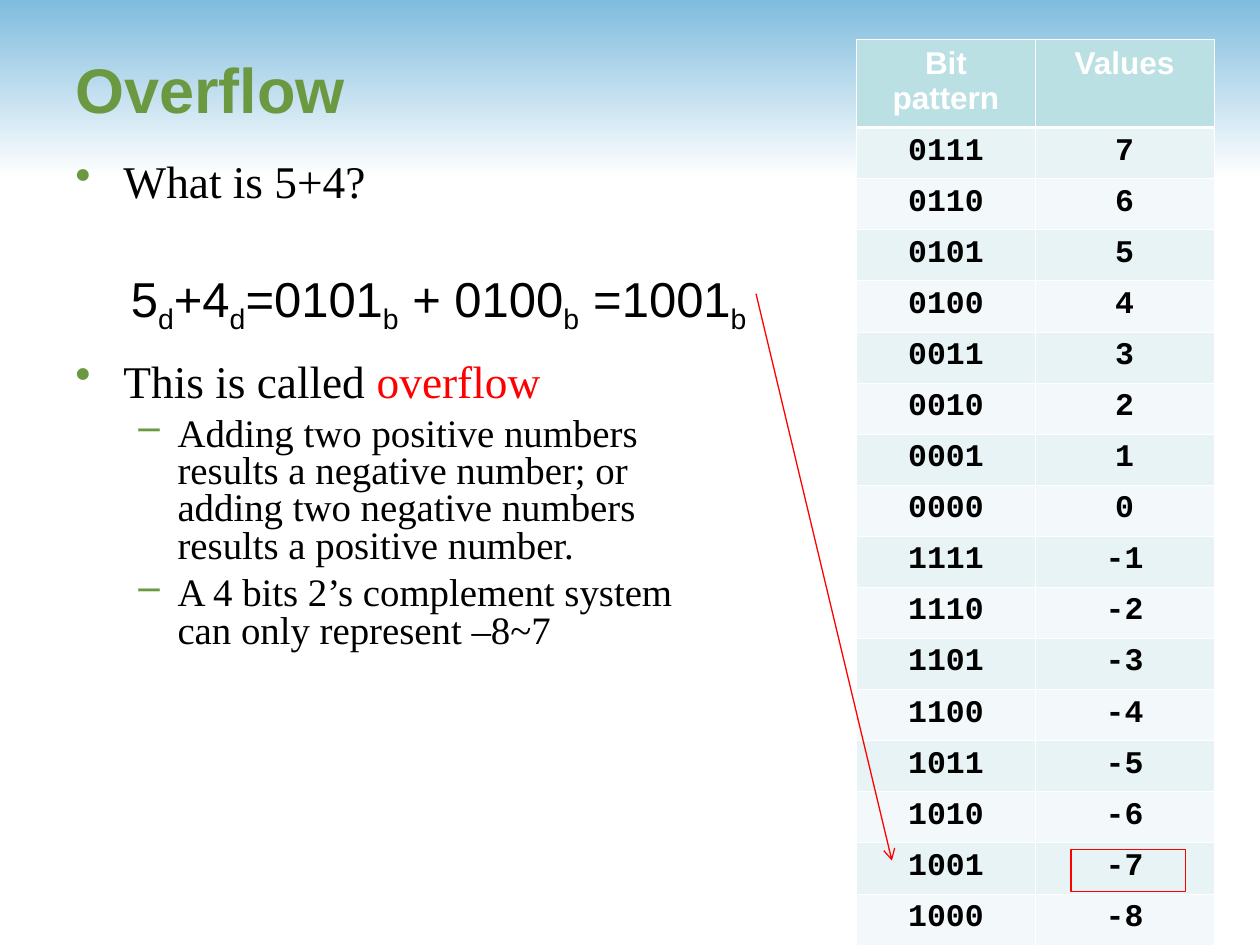
import dataclasses

import pptx
import pptx.dml.color
import pptx.enum.dml
import pptx.enum.shapes
import pptx.enum.text
import pptx.oxml.ns
import pptx.util
from lxml import etree

Cm, Pt = pptx.util.Cm, pptx.util.Pt
RGB = pptx.dml.color.RGBColor.from_string
qn = pptx.oxml.ns.qn
PP_ALIGN = pptx.enum.text.PP_ALIGN
ANCHOR = pptx.enum.text.MSO_ANCHOR
RECTANGLE = pptx.enum.shapes.MSO_SHAPE.RECTANGLE


@dataclasses.dataclass(frozen=True)
class Theme:
    sky: str = "80BCDE"
    white: str = "FFFFFF"
    black: str = "000000"
    green: str = "6B9941"
    red: str = "FF0000"
    header: str = "BBE0E3"
    bands: tuple = ("E7F3F4", "F3F9FA")
    title: dict = dataclasses.field(default_factory=lambda: dict(name="Arial", size=Pt(36), bold=True))
    point: dict = dataclasses.field(default_factory=lambda: dict(name="Times New Roman", size=Pt(25.9)))
    detail: dict = dataclasses.field(default_factory=lambda: dict(name="Times New Roman", size=Pt(22.2)))
    equation: dict = dataclasses.field(default_factory=lambda: dict(name="Arial", size=Pt(28)))
    heading: dict = dataclasses.field(default_factory=lambda: dict(name="Arial", size=Pt(18), bold=True))
    bits: dict = dataclasses.field(default_factory=lambda: dict(name="Courier New", size=Pt(18), bold=True))


theme = Theme()


def write(p, text, font, color, baseline=None):
    """Append text to a paragraph, with a line break at each newline."""
    for i, line in enumerate(text.split("\n")):
        if i:
            p.add_line_break()
        r = p.add_run()
        r.text = line
        for key, value in font.items():
            setattr(r.font, key, value)
        r.font.color.rgb = RGB(color)
        if baseline:
            r._r.get_or_add_rPr().set("baseline", str(baseline * 1000))


def add_text_frame(s, left, top, width, height, anchor=ANCHOR.TOP):
    tf = s.shapes.add_textbox(Cm(left), Cm(top), Cm(width), Cm(height)).text_frame
    tf.word_wrap = True
    tf.vertical_anchor = anchor
    return tf


prs = pptx.Presentation()
prs.slide_width, prs.slide_height = Cm(25.4), Cm(19.05)
s = prs.slides.add_slide(prs.slide_layouts[6])

# Sky band
sky = s.shapes.add_shape(RECTANGLE, 0, 0, prs.slide_width, Cm(3.6))
sky.shadow.inherit = False
sky.line.fill.background()
sky.fill.gradient()
sky.fill.gradient_angle = 270
for stop, color in zip(sky.fill.gradient_stops, (theme.sky, theme.white)):
    stop.color.rgb = RGB(color)

# Table of 4-bit two's complement values, from 7 down to -8
rows = [("Bit pattern", "Values")]
rows += [(f"{value & 15:04b}", str(value)) for value in range(7, -9, -1)]
table = s.shapes.add_table(len(rows), 2, Cm(17.27), Cm(0.79), Cm(7.2), Cm(18.26)).table
for column in table.columns:
    column.width = Cm(3.6)
for i, row in enumerate(rows):
    table.rows[i].height = Cm(1.03 if i else 1.78)
    fill = theme.bands[(i - 1) % 2] if i else theme.header
    font, color = (theme.bits, theme.black) if i else (theme.heading, theme.white)
    for j, text in enumerate(row):
        cell = table.cell(i, j)
        p = cell.text_frame.paragraphs[0]
        p.alignment = PP_ALIGN.CENTER
        write(p, text, font, color)
        tcPr = cell._tc.get_or_add_tcPr()
        for side in ("lnL", "lnR", "lnT", "lnB"):
            under_header = (i, side) in ((0, "lnB"), (1, "lnT"))
            width = Pt(1.47 if under_header else 0.45)
            ln = etree.SubElement(tcPr, qn(f"a:{side}"), w=str(width))
            line_fill = etree.SubElement(ln, qn("a:solidFill"))
            etree.SubElement(line_fill, qn("a:srgbClr"), val=theme.white)
        cell.fill.solid()
        cell.fill.fore_color.rgb = RGB(fill)

# Title
tf = add_text_frame(s, 1.27, 0.2, 23.06, 3.18, ANCHOR.MIDDLE)
write(tf.paragraphs[0], "Overflow", theme.title, theme.green)

# Bullets: level, space before, (text, colour) parts
bullets = [
    (0, 7, [("What is 5+4?", theme.black)]),
    (0, 89, [("This is called ", theme.black), ("overflow", theme.red)]),
    (1, 6, [("Adding two positive numbers\nresults a negative number; or\n"
             "adding two negative numbers\nresults a positive number.", theme.black)]),
    (1, 6, [("A 4 bits 2’s complement system\ncan only represent –8~7", theme.black)]),
]
levels = [
    dict(mark="•", font=theme.point, margin=0.97, indent=-0.97),
    dict(mark="–", font=theme.detail, margin=2.06, indent=-0.79),
]
tf = add_text_frame(s, 1.27, 3.18, 23.06, 11.43)
for i, (level, space, parts) in enumerate(bullets):
    p = tf.add_paragraph() if i else tf.paragraphs[0]
    style = levels[level]
    for key, value in dict(level=level, line_spacing=0.8, space_before=Pt(space)).items():
        setattr(p, key, value)
    pPr = p._p.get_or_add_pPr()
    pPr.set("marL", str(Cm(style["margin"])))
    pPr.set("indent", str(Cm(style["indent"])))
    bullet_color = etree.SubElement(pPr, qn("a:buClr"))
    etree.SubElement(bullet_color, qn("a:srgbClr"), val=theme.green)
    etree.SubElement(pPr, qn("a:buChar"), char=style["mark"])
    for text, color in parts:
        write(p, text, style["font"], color)

# Equation in two parts: each term is followed by its number base
equation = [
    (2.39, 9.93, [("5", "d"), ("+4", "d"), ("=0101", "b"), (" + 0100", "b")]),
    (11.71, 3.96, [("=1001", "b")]),
]
for left, width, terms in equation:
    p = add_text_frame(s, left, 5.28, width, 1.6).paragraphs[0]
    for term, base in terms:
        write(p, term, theme.equation, theme.black)
        write(p, base, theme.equation, theme.black, baseline=-25)

# Arrow from the sum to its row, and a frame around the value
arrow = s.shapes.add_connector(
    pptx.enum.shapes.MSO_CONNECTOR.STRAIGHT, Cm(15.24), Cm(5.92), Cm(17.98), Cm(17.35))
frame = s.shapes.add_shape(RECTANGLE, Cm(21.59), Cm(17.12), Cm(2.31), Cm(0.86))
frame.shadow.inherit = False
frame.fill.background()
for shape in (arrow, frame):
    shape.line.color.rgb = RGB(theme.red)
    shape.line.width = Pt(0.75)
etree.SubElement(arrow.line._get_or_add_ln(), qn("a:tailEnd"), type="arrow")
etree.SubElement(arrow._element.spPr, qn("a:effectLst"))

prs.save("out.pptx")
